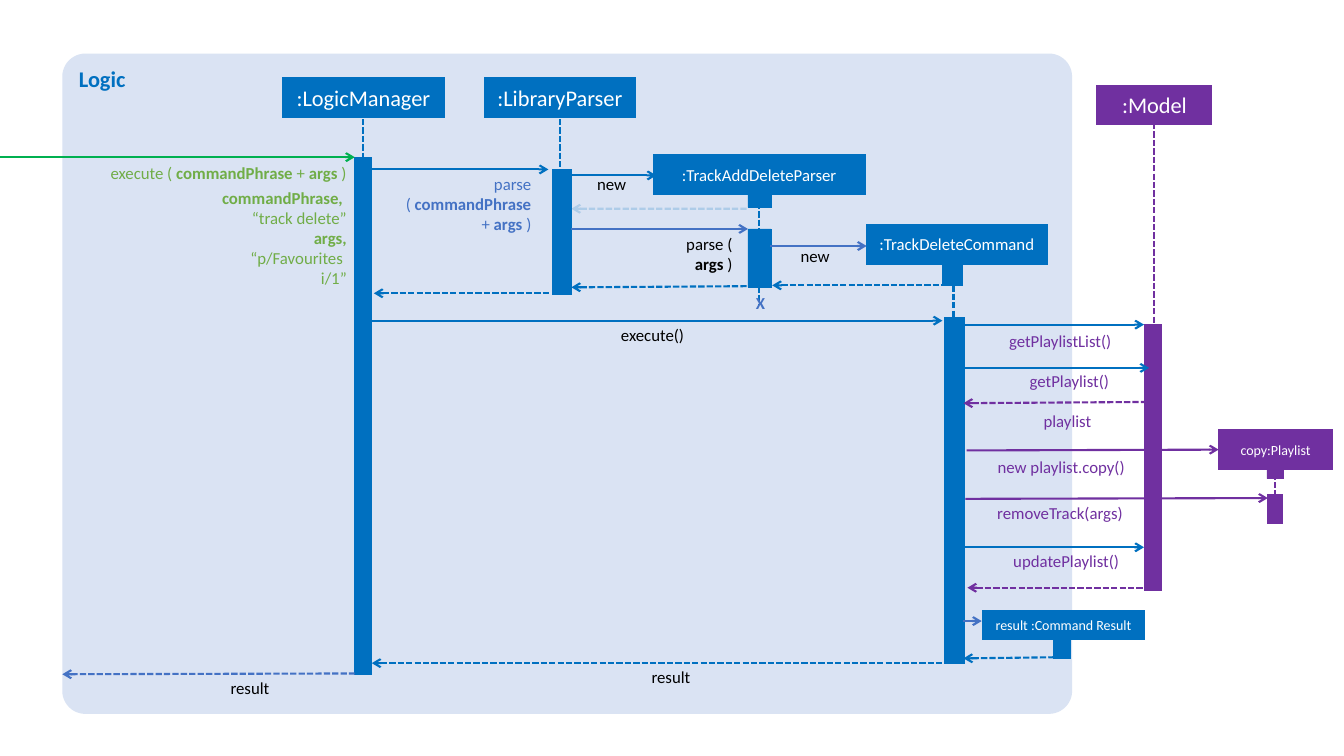
from lxml import etree
from pptx import Presentation
from pptx.dml.color import RGBColor
from pptx.enum.dml import MSO_LINE
from pptx.enum.shapes import MSO_CONNECTOR, MSO_SHAPE
from pptx.enum.text import MSO_ANCHOR as ANCHOR, MSO_AUTO_SIZE as FIT, PP_ALIGN as ALIGN
from pptx.oxml.ns import qn
from pptx.util import Cm, Pt

BLUE, PURPLE, INDIGO = "0070C0", "7030A0", "4472C4"
GREEN, LIME, BLACK, WHITE = "00B050", "70AD47", "000000", "FFFFFF"


def rgb(value):
    """Turn a hex string into a colour."""
    return RGBColor.from_string(value)


def write(tf, paras, size, colour, align):
    """Fill a text frame with paragraphs of (text, bold) runs."""
    for i, runs in enumerate(paras):
        p = tf.paragraphs[0] if i == 0 else tf.add_paragraph()
        p.alignment = align
        for text, bold in runs:
            r = p.add_run()
            r.text = text
            r.font.name, r.font.size, r.font.bold = "Calibri", Pt(size), bold
            r.font.color.rgb = rgb(colour)


def label(s, x, y, w, h, paras, colour, align=ALIGN.CENTER):
    """Place a text box without margins; a plain string is one paragraph."""
    tf = s.shapes.add_textbox(Cm(x), Cm(y), Cm(w), Cm(h)).text_frame
    tf.word_wrap, tf.auto_size = True, FIT.SHAPE_TO_FIT_TEXT
    tf.margin_left = tf.margin_top = tf.margin_right = tf.margin_bottom = 0
    write(tf, [[(paras, False)]] if isinstance(paras, str) else paras, 12, colour, align)


def block(s, x, y, w, h, fill, line=None, kind=MSO_SHAPE.RECTANGLE):
    """Place a filled shape whose square-cornered outline, if any, has the fill colour."""
    sp = s.shapes.add_shape(kind, Cm(x), Cm(y), Cm(w), Cm(h))
    sp.shadow.inherit = False
    sp.fill.solid()
    sp.fill.fore_color.rgb = rgb(fill)
    if line:
        sp.line.color.rgb = rgb(fill)
        sp.line.width = Pt(line)
        etree.SubElement(sp.line._get_or_add_ln(), qn("a:miter"), lim="800000")
    else:
        sp.line.fill.background()
    return sp


def line(s, x1, y1, x2, y2, colour, dashed=False, end=None, alpha=None):
    """Draw a line, with an arrowhead at the named end."""
    c = s.shapes.add_connector(MSO_CONNECTOR.STRAIGHT, Cm(x1), Cm(y1), Cm(x2), Cm(y2))
    c.line.color.rgb = rgb(colour)
    c.line.width = Pt(1.5)
    if dashed:
        c.line.dash_style = MSO_LINE.SQUARE_DOT
    ln = c.line._get_or_add_ln()
    if alpha:
        tint = ln.find(".//" + qn("a:srgbClr"))
        etree.SubElement(tint, qn("a:alpha"), val=str(alpha * 1000))
    if end:
        etree.SubElement(ln, qn("a:" + end), type="arrow")
    etree.SubElement(c._element.spPr, qn("a:effectLst"))


def call(s, x1, y1, x2, y2, colour=BLUE):
    """Draw a solid arrow to the second point."""
    line(s, x1, y1, x2, y2, colour, end="tailEnd")


def reply(s, x1, y1, x2, y2, colour=BLUE, alpha=None):
    """Draw a dashed arrow back to the first point."""
    line(s, x1, y1, x2, y2, colour, True, "headEnd", alpha)


def participant(s, x, y, w, h, name, size, colour, bars, life=None):
    """Draw a lifeline and activation bars, with the head box in front."""
    if life:
        lx, top, bottom = life
        line(s, x + lx, y + top, x + lx, y + bottom, colour, True)
    for bx, by, bw, bh in bars:
        block(s, x + bx, y + by, bw, bh, colour, 0.5)
    sp = block(s, x, y, w, h, colour, 1.5)
    sp.text_frame.vertical_anchor = ANCHOR.MIDDLE
    sp.text_frame.word_wrap = True
    write(sp.text_frame, [[(name, False)]], size, WHITE, ALIGN.CENTER)


def logic_panel(s, x, y, w, h):
    """Draw the rounded panel and its title."""
    sp = block(s, x, y, w, h, "DAE3F3", kind=MSO_SHAPE.ROUNDED_RECTANGLE)
    sp.adjustments[0] = 0.035
    sp.text_frame.vertical_anchor = ANCHOR.TOP
    write(sp.text_frame, [[("Logic", True)]], 16, BLUE, ALIGN.LEFT)


def participants(s):
    """Draw every participant that has a lifeline."""
    participant(s, 7.14, 1.98, 4.04, 0.97, ":LogicManager", 16, BLUE,
                [(1.8, 1.98, 0.41, 13.03)], (2, 1.02, 8.23))
    participant(s, 12.22, 1.96, 3.78, 0.99, ":LibraryParser", 16, BLUE,
                [(1.7, 2.31, 0.48, 3.15)], (1.9, 1.04, 5.46))
    participant(s, 16.48, 3.91, 5.31, 0.99, ":TrackAddDeleteParser", 12, BLUE,
                [(2.37, 0.99, 0.58, 0.33), (2.37, 1.86, 0.58, 1.47)], (2.65, 0.99, 3.76))
    participant(s, 21.84, 5.66, 4.55, 0.99, ":TrackDeleteCommand", 12, BLUE,
                [(1.91, 0.92, 0.51, 0.61), (1.96, 2.34, 0.51, 8.71)], (2.19, 1.53, 2.32))
    participant(s, 27.66, 2.16, 2.87, 0.97, ":Model", 16, PURPLE,
                [(1.19, 6.02, 0.43, 6.71)], (1.42, 0.94, 8.81))
    participant(s, 30.71, 10.85, 2.87, 0.97, "copy:Playlist", 10, PURPLE,
                [(1.22, 0.45, 0.41, 0.76), (1.24, 1.62, 0.36, 0.71)], (1.42, 0.45, 2.33))


def request(s, x, y, w):
    """Draw the incoming call and its arguments."""
    call(s, x, y, x + w, y, GREEN)
    label(s, x + 1.57, y + 0.15, 7.16, 0.51,
          [[("execute ( ", False), ("commandPhrase", True), (" + ", False),
            ("args ", True), (")", False)]], LIME, ALIGN.RIGHT)
    label(s, x + 0.56, y + 0.76, 8.18, 2.57,
          [[("commandPhrase, ", True)], [("“track delete”", False)], [("args,", True)],
           [("“p/Favourites ", False)], [("i/1”", False)]], LIME, ALIGN.RIGHT)


def parsing(s, x, y):
    """Draw the messages that turn the text into a command and run it."""
    call(s, x, y, x + 4.45, y)
    label(s, x + 0.82, y + 0.1, 3.2, 1.55,
          [[("parse ( ", False), ("commandPhrase ", True), ("+", False),
            (" args ", True), (")", False)]], INDIGO, ALIGN.RIGHT)
    call(s, x + 4.9, y + 0.15, x + 7.17, y + 0.15)
    reply(s, x + 5.03, y + 0.99, x + 9.48, y + 0.99, alpha=20)
    call(s, x + 5.03, y + 1.5, x + 9.48, y + 1.5, INDIGO)
    label(s, x + 6.63, y + 1.62, 2.46, 1.02,
          [[("parse (", False)], [("args", True), (" )", False)]], BLACK, ALIGN.RIGHT)
    call(s, x + 10.04, y + 1.93, x + 12.47, y + 1.93, INDIGO)
    for dx, dy in ((5.62, 0.12), (10.75, 1.93)):
        label(s, x + dx, y + dy, 0.79, 0.51, "new", BLACK, ALIGN.RIGHT)
    reply(s, x + 10.09, y + 2.92, x + 14.66, y + 2.92)
    reply(s, x + 5.03, y + 2.97, x + 9.76, y + 2.94)
    reply(s, x + 0.05, y + 3.12, x + 4.5, y + 3.12)
    tf = s.shapes.add_textbox(Cm(x + 9.43), Cm(y + 2.99), Cm(0.74), Cm(0.76)).text_frame
    tf.word_wrap, tf.auto_size = False, FIT.SHAPE_TO_FIT_TEXT
    write(tf, [[("X", True)]], 12, INDIGO, ALIGN.LEFT)
    call(s, x, y + 3.81, x + 14.38, y + 3.81)
    label(s, x + 6.28, y + 3.91, 1.63, 0.51, "execute()", BLACK, ALIGN.LEFT)


def model_calls(s, x, y, w):
    """Draw the messages between the command, the model and the playlist."""
    call(s, x, y, x + w, y)
    call(s, x, y + 1.09, x + w + 0.13, y + 1.09)
    reply(s, x, y + 1.98, x + w, y + 1.95, PURPLE)
    call(s, x + 0.08, y + 3.17, x + 6.43, y + 3.15, PURPLE)
    call(s, x + 0.05, y + 4.39, x + 7.67, y + 4.37, PURPLE)
    call(s, x, y + 5.61, x + w, y + 5.61)
    reply(s, x + 0.1, y + 6.63, x + w, y + 6.63, PURPLE)
    label(s, x + 1.15, y + 0.15, 3.2, 0.51, "getPlaylistList()", PURPLE, ALIGN.LEFT)
    for dx, dy, dw, text in ((1.07, 1.17, 3.2, "getPlaylist()"),
                             (1.02, 2.16, 3.2, "playlist"),
                             (0.41, 3.33, 4.11, "new playlist.copy()"),
                             (0.38, 4.49, 4.11, "removeTrack(args)"),
                             (0.99, 5.69, 3.2, "updatePlaylist()")):
        label(s, x + dx, y + dy, dw, 0.51, text, PURPLE)


def command_result(s, x, y):
    """Draw the result object and its two messages."""
    participant(s, x + 0.49, y, 4.06, 0.71, "result :Command Result", 10, BLUE,
                [(1.77, 0.71, 0.43, 0.48)])
    call(s, x, y + 0.26, x + 0.46, y + 0.26, INDIGO)
    reply(s, x, y + 1.2, x + 2.49, y + 1.17)


def results(s, x, y):
    """Draw the two returned results."""
    reply(s, x, y + 0.28, x + 7.37, y + 0.26, INDIGO)
    reply(s, x + 7.8, y, x + 22.28, y)
    label(s, x + 2.14, y + 0.36, 5.18, 0.51, "result", BLACK)
    label(s, x + 12.7, y + 0.1, 5.28, 0.51, "result", BLACK)


def main():
    """Build the sequence diagram slide."""
    prs = Presentation()
    prs.slide_width, prs.slide_height = Cm(33.87), Cm(19.05)
    s = prs.slides.add_slide(prs.slide_layouts[6])
    logic_panel(s, 1.57, 1.35, 25.45, 16.64)
    participants(s)
    request(s, 0, 3.96, 8.94)
    parsing(s, 9.37, 4.27)
    model_calls(s, 24.28, 8.18, 4.55)
    command_result(s, 24.28, 15.39)
    results(s, 1.57, 16.71)
    prs.save("out.pptx")


if __name__ == "__main__":
    main()
